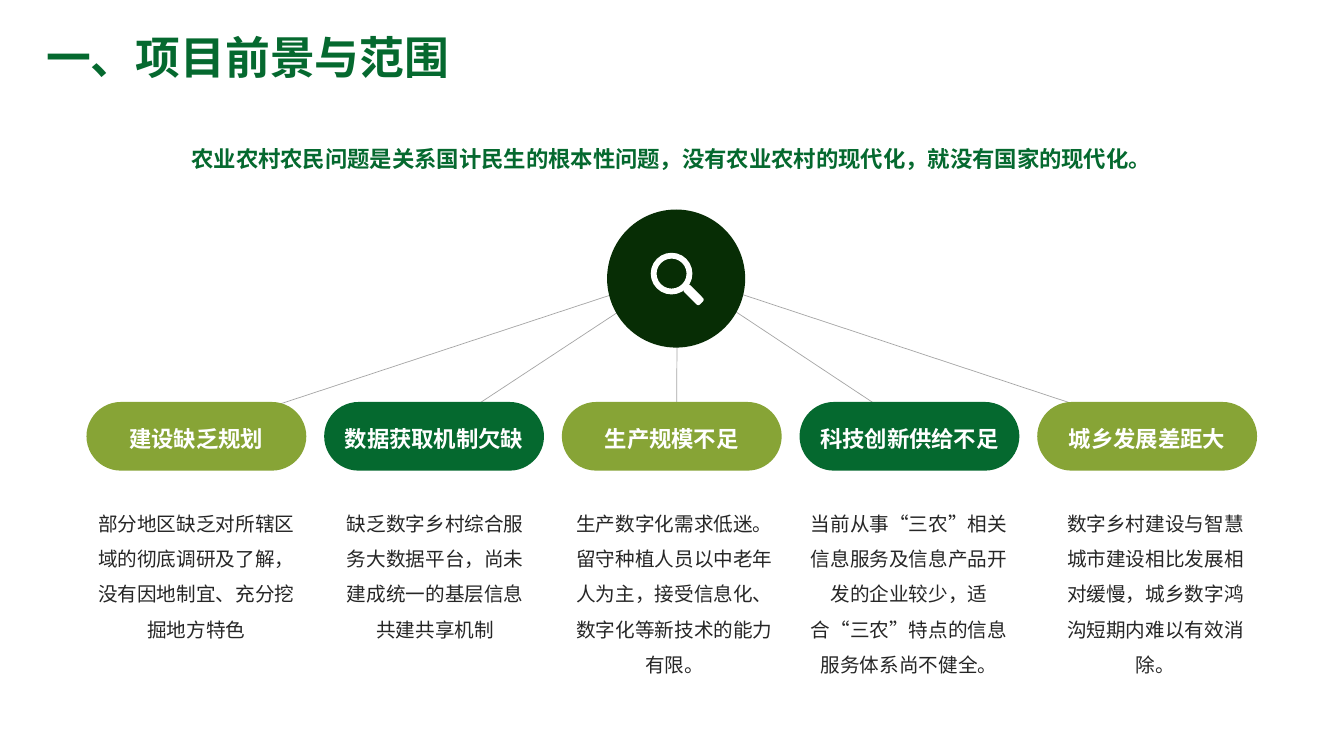
from lxml import etree
from pptx import Presentation
from pptx.dml.color import RGBColor
from pptx.enum.lang import MSO_LANGUAGE_ID
from pptx.enum.shapes import MSO_CONNECTOR, MSO_SHAPE
from pptx.enum.text import MSO_ANCHOR, PP_ALIGN
from pptx.oxml.ns import qn
from pptx.util import Cm, Pt

STRAIGHT = MSO_CONNECTOR.STRAIGHT
OVAL, PILL, RING = MSO_SHAPE.OVAL, MSO_SHAPE.ROUNDED_RECTANGLE, MSO_SHAPE.DONUT
LEFT, CENTER = PP_ALIGN.LEFT, PP_ALIGN.CENTER
TOP, MIDDLE = MSO_ANCHOR.TOP, MSO_ANCHOR.MIDDLE
CHINESE = MSO_LANGUAGE_ID.SIMPLIFIED_CHINESE

THEME = {
    "green": RGBColor.from_string("05692F"),
    "olive": RGBColor.from_string("87A436"),
    "forest": RGBColor.from_string("072D05"),
    "white": RGBColor.from_string("FFFFFF"),
    "ink": RGBColor.from_string("262626"),
    "gray": RGBColor.from_string("A6A6A6"),
    "heading": Pt(32),
    "label": Pt(16),
    "body": Pt(14),
    "cjk": "Noto Sans CJK SC",
    "latin": "Arial",
}


def write(holder, text, color, size, spacing, bold=True, face="cjk", align=CENTER, anchor=MIDDLE, inset=(0.25, 0.13)):
    frame = holder.text_frame
    side, edge = (Cm(value) for value in inset)
    frame_format = {
        "word_wrap": True, "vertical_anchor": anchor,
        "margin_left": side, "margin_right": side,
        "margin_top": edge, "margin_bottom": edge,
    }
    paragraph = frame.paragraphs[0]
    run = paragraph.add_run()
    run.text = text
    paragraph_format = {"alignment": align, "line_spacing": spacing, "space_before": Pt(0)}
    font_format = {"name": THEME[face], "size": THEME[size], "bold": bold, "language_id": CHINESE}
    for target, values in ((frame, frame_format), (paragraph, paragraph_format), (run.font, font_format)):
        for key, value in values.items():
            setattr(target, key, value)
    run.font.color.rgb = THEME[color]
    east_asian = etree.SubElement(run.font._element, qn("a:ea"))
    east_asian.set("typeface", THEME["cjk"])


def draw(kind, left, top, width, height, color):
    shape = slide.shapes.add_shape(kind, Cm(left), Cm(top), Cm(width), Cm(height))
    shape.shadow.inherit = False
    shape.fill.solid()
    shape.fill.fore_color.rgb = THEME[color]
    shape.line.fill.background()
    return shape


prs = Presentation()
prs.slide_width, prs.slide_height = Cm(33.87), Cm(19.05)
slide = prs.slides.add_slide(prs.slide_layouts[5])

title = slide.shapes.title
title.left, title.top, title.width, title.height = Cm(0.91), Cm(0.71), Cm(21), Cm(1.6)
write(title, "一、项目前景与范围", "green", "heading", 0.9, align=LEFT)

problems = [
    ("建设缺乏规划", "部分地区缺乏对所辖区域的彻底调研及了解，没有因地制宜、充分挖掘地方特色", 4.95, 5.54),
    ("数据获取机制欠缺", "缺乏数字乡村综合服务大数据平台，尚未建成统一的基层信息共建共享机制", 10.97, 5.4),
    ("生产规模不足", "生产数字化需求低迷。留守种植人员以中老年人为主，接受信息化、数字化等新技术的能力有限。", 17, 5.54),
    ("科技创新供给不足", "当前从事“三农”相关信息服务及信息产品开发的企业较少，适合“三农”特点的信息服务体系尚不健全。", 22.91, 5.54),
    ("城乡发展差距大", "数字乡村建设与智慧城市建设相比发展相对缓慢，城乡数字鸿沟短期内难以有效消除。", 29.12, 5.4),
]

for index in range(len(problems)):
    ray = slide.shapes.add_connector(STRAIGHT, Cm(17.07), Cm(6.88), Cm(4.93 + 6.06 * index), Cm(10.88))
    ray.line.color.rgb = THEME["gray"]
    ray.line.width = Pt(0.5)
    etree.SubElement(ray._element.spPr, qn("a:effectLst"))

for index, (label, detail, center, width) in enumerate(problems):
    pill = draw(PILL, 2.18 + 5.99 * index, 10.13, 5.54, 1.73, "green" if index % 2 else "olive")
    pill.adjustments[0] = 0.5
    write(pill, label, "white", "label", 1.2, face="latin", inset=(0, 0))
    explanation = slide.shapes.add_textbox(Cm(center - width / 2), Cm(12.47), Cm(width), Cm(4.65))
    write(explanation, detail, "ink", "body", 1.5, bold=False, anchor=TOP)

draw(OVAL, 15.3, 5.28, 3.48, 3.48, "forest")
lens = draw(RING, 16.4, 6.37, 1.05, 1.05, "white")
lens.adjustments[0] = 0.14
handle = draw(PILL, 17.2, 7.32, 0.56, 0.23, "white")
handle.adjustments[0] = 0.25
handle.rotation = 45

statement = slide.shapes.add_textbox(Cm(3.68), Cm(2.67), Cm(26.5), Cm(2.46))
write(statement, "农业农村农民问题是关系国计民生的根本性问题，没有农业农村的现代化，就没有国家的现代化。", "green", "label", 1.25)

prs.save("out.pptx")
